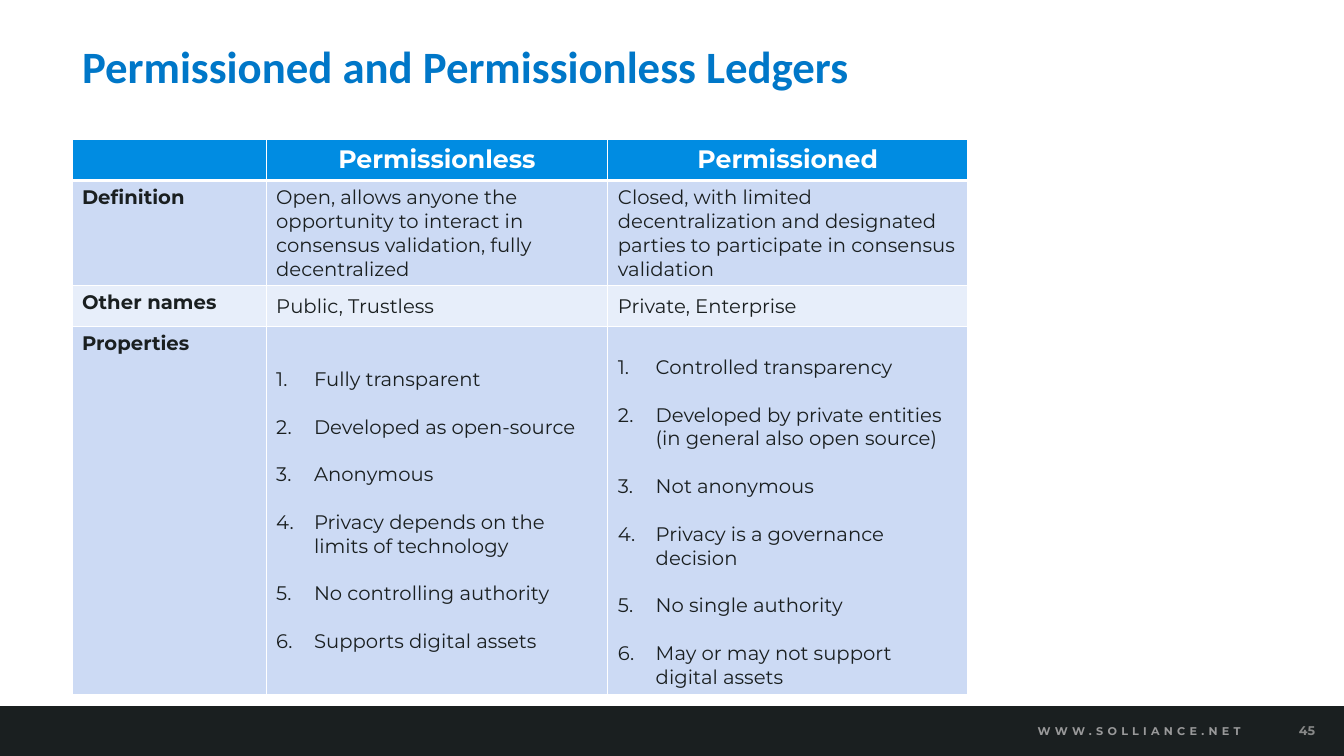
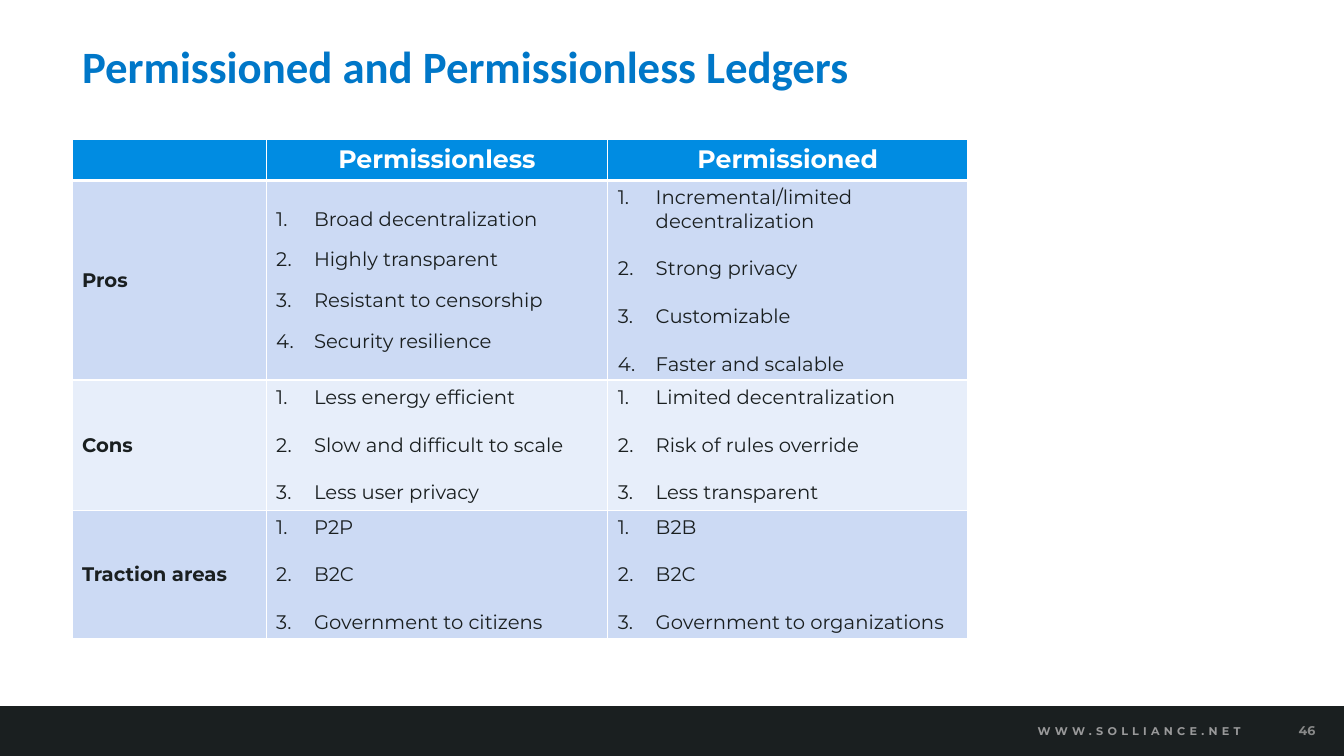
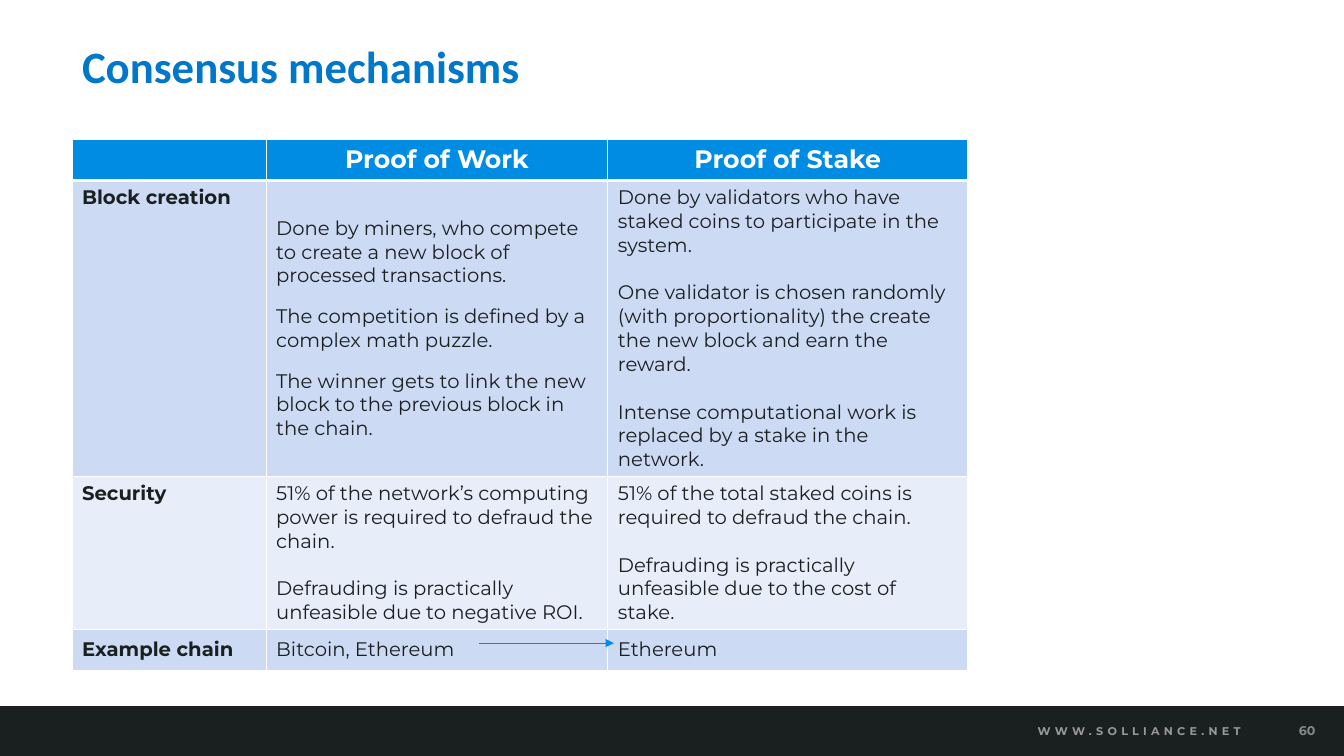
from collections import namedtuple
from lxml.etree import SubElement
from pptx import Presentation
from pptx.dml.color import RGBColor
from pptx.enum.shapes import MSO_CONNECTOR, MSO_SHAPE
from pptx.enum.text import MSO_ANCHOR, PP_ALIGN
from pptx.oxml.ns import qn
from pptx.util import Pt

WHITE = RGBColor(0xFF, 0xFF, 0xFF)
INK = RGBColor(0x1A, 0x1F, 0x20)
BLUE = RGBColor(0x00, 0x77, 0xC8)
HEAD = RGBColor(0x00, 0x8C, 0xE2)
BANDS = RGBColor(0xCC, 0xDA, 0xF4), RGBColor(0xE7, 0xEE, 0xFA)
PALE = RGBColor(0x99, 0x99, 0x9A)
GREY = RGBColor(0x87, 0x88, 0x88)

WIDE, HIGH = 960, 540
FOOT = 504.4
LEFT, TOP = 51.4, 99.4
COLS = 138.7, 244.1, 257
ROW = 29.5
LINE = 17  # height of one 14 pt line
PAD = 3.6
SITE = "WWW.SOLLIANCE.NET"
TITLE_FONT, FONT = "Calibri", "Montserrat"
UP, MID = MSO_ANCHOR.TOP, MSO_ANCHOR.MIDDLE

Cell = namedtuple("Cell", "paras num gap drop", defaults=(False, LINE, 0))
Row = namedtuple("Row", "label anchor height left right")
Page = namedtuple("Page", "title number heads rows")

LEDGERS = "Permissioned and Permissionless Ledgers"
KINDS = "Permissionless", "Permissioned"

PAGES = [
    Page(LEDGERS, 45, KINDS, [
        Row("Definition", UP, 75,
            Cell(["Open, allows anyone the opportunity to interact in consensus "
                  "validation, fully decentralized"]),
            Cell(["Closed, with limited decentralization and designated parties "
                  "to participate in consensus validation"])),
        Row("Other names", UP, ROW,
            Cell(["Public, Trustless"]), Cell(["Private, Enterprise"])),
        Row("Properties", UP, 262.5,
            Cell(["Fully transparent", "Developed as open-source", "Anonymous",
                  "Privacy depends on the limits of technology",
                  "No controlling authority", "Supports digital assets"], True),
            Cell(["Controlled transparency",
                  "Developed by private entities (in general also open source)",
                  "Not anonymous", "Privacy is a governance decision",
                  "No single authority",
                  "May or may not support digital assets"], True, drop=LINE)),
    ]),
    Page(LEDGERS, 46, KINDS, [
        Row("Pros", MID, 142.5,
            Cell(["Broad decentralization", "Highly transparent",
                  "Resistant to censorship", "Security resilience"], True, 12),
            Cell(["Incremental/limited decentralization", "Strong privacy",
                  "Customizable", "Faster and scalable"], True)),
        Row("Cons", MID, 93,
            Cell(["Less energy efficient", "Slow and difficult to scale",
                  "Less user privacy"], True),
            Cell(["Limited decentralization", "Risk of rules override",
                  "Less transparent"], True)),
        Row("Traction areas", MID, 92,
            Cell(["P2P", "B2C", "Government to citizens"], True),
            Cell(["B2B", "B2C", "Government to organizations"], True)),
    ]),
    Page("Consensus mechanisms", 60, ("Proof of Work", "Proof of Stake"), [
        Row("Block creation", UP, 211.5,
            Cell(["Done by miners, who compete to create a new block of "
                  "processed transactions.",
                  "The competition is defined by a complex math puzzle.",
                  "The winner gets to link the new block to the previous block "
                  "in the chain."], gap=12),
            Cell(["Done by validators who have staked coins to participate in "
                  "the system.",
                  "One validator is chosen randomly (with proportionality) the "
                  "create the new block and earn the reward.",
                  "Intense computational work is replaced by a stake in the "
                  "network."])),
        Row("Security", UP, 109,
            Cell(["51% of the network’s computing power is required to defraud "
                  "the chain.",
                  "Defrauding is practically unfeasible due to negative ROI."]),
            Cell(["51% of the total staked coins is required to defraud the "
                  "chain.",
                  "Defrauding is practically unfeasible due to the cost of "
                  "stake."])),
        Row("Example chain", MID, ROW,
            Cell(["Bitcoin, Ethereum"]), Cell(["Ethereum"])),
    ]),
]


def add_run(para, text, size, color, bold=False, font=FONT):
    run = para.add_run()
    run.text = text
    run.font.name, run.font.size, run.font.bold = font, Pt(size), bold
    run.font.color.rgb = color
    return run


def add_band(slide, layout):
    """Draw the dark foot band and hand it to the layout, behind all else."""
    band = slide.shapes.add_shape(
        MSO_SHAPE.RECTANGLE, 0, Pt(FOOT), Pt(WIDE), Pt(HIGH - FOOT))
    band.shadow.inherit = False
    band.fill.solid()
    band.fill.fore_color.rgb = INK
    band.line.fill.background()
    layout.shapes._spTree.insert(2, band._element)


def add_title(slide, text):
    title = slide.shapes.title
    title.left, title.top, title.width, title.height = (
        Pt(n) for n in (LEFT, 27, 596.9, 44.6))
    title.text_frame.vertical_anchor = MID
    para = title.text_frame.paragraphs[0]
    para.alignment, para.line_spacing = PP_ALIGN.LEFT, 0.9
    add_run(para, text, 32, BLUE, True, TITLE_FONT)


def add_note(slide, left, width, text, size, color, align):
    """Add a pale line of text on the foot band."""
    box = slide.shapes.add_textbox(Pt(left), Pt(509), Pt(width), Pt(26))
    frame = box.text_frame
    frame.word_wrap, frame.vertical_anchor = True, MID
    frame.paragraphs[0].alignment = align
    return add_run(frame.paragraphs[0], text, size, color, True)


def paint(cell, color, top, bottom):
    """Give a cell white borders and a fill."""
    props = cell._tc.get_or_add_tcPr()
    for side, width in ("L", 1), ("R", 1), ("T", top), ("B", bottom):
        edge = SubElement(props, qn("a:ln" + side), w=str(Pt(width)))
        fill = SubElement(edge, qn("a:solidFill"))
        SubElement(fill, qn("a:srgbClr"), val=str(WHITE))
    cell.fill.solid()
    cell.fill.fore_color.rgb = color


def fill_body(cell, body):
    cell.vertical_anchor = MID
    cell.margin_top = Pt(PAD + body.drop)
    for i, text in enumerate(body.paras):
        frame = cell.text_frame
        para = frame.add_paragraph() if i else frame.paragraphs[0]
        if body.num:
            props = para._p.get_or_add_pPr()
            props.set("marL", str(Pt(27)))
            props.set("indent", str(-Pt(27)))
            SubElement(props, qn("a:buFont"), typeface="+mj-lt")
            SubElement(props, qn("a:buAutoNum"), type="arabicPeriod")
        if i:
            para.space_before = Pt(body.gap)
        add_run(para, text, 14, INK)


def add_grid(slide, page):
    highs = [ROW] + [row.height for row in page.rows]
    table = slide.shapes.add_table(
        len(highs), len(COLS), Pt(LEFT), Pt(TOP),
        Pt(sum(COLS)), Pt(sum(highs))).table
    table.first_row = table.horz_banding = False
    for col, width in zip(table.columns, COLS):
        col.width = Pt(width)
    for r, high in enumerate(highs):
        table.rows[r].height = Pt(high)
        color = BANDS[(r - 1) % 2] if r else HEAD
        for c in range(len(COLS)):
            paint(table.cell(r, c), color, 3 if r == 1 else 1, 1 if r else 3)
    for c, head in enumerate(page.heads, 1):
        para = table.cell(0, c).text_frame.paragraphs[0]
        para.alignment = PP_ALIGN.CENTER
        add_run(para, head, 18, WHITE, True)
    for r, row in enumerate(page.rows, 1):
        label = table.cell(r, 0)
        label.vertical_anchor = row.anchor
        add_run(label.text_frame.paragraphs[0], row.label, 14, INK, True)
        fill_body(table.cell(r, 1), row.left)
        fill_body(table.cell(r, 2), row.right)


def add_arrow(slide, start, end, y):
    arrow = slide.shapes.add_connector(
        MSO_CONNECTOR.STRAIGHT, Pt(start), Pt(y), Pt(end), Pt(y))
    arrow.line.color.rgb, arrow.line.width = HEAD, Pt(0.5)
    SubElement(arrow.line._get_or_add_ln(), qn("a:tailEnd"), type="triangle")
    SubElement(arrow._element.spPr, qn("a:effectLst"))


def main():
    deck = Presentation()
    deck.slide_width, deck.slide_height = Pt(WIDE), Pt(HIGH)
    layout = deck.slide_layouts[5]
    for i, page in enumerate(PAGES):
        slide = deck.slides.add_slide(layout)
        if i == 0:
            add_band(slide, layout)
        add_title(slide, page.title)
        site = add_note(slide, 569.5, 324, SITE, 8, PALE, PP_ALIGN.RIGHT)
        site.font._element.set("spc", "300")
        add_note(slide, 916.3, 34.6, str(page.number), 9, GREY,
                 PP_ALIGN.CENTER)
        add_grid(slide, page)
    add_arrow(slide, 342, 438.5, 459.4)
    deck.save("out.pptx")


if __name__ == "__main__":
    main()
